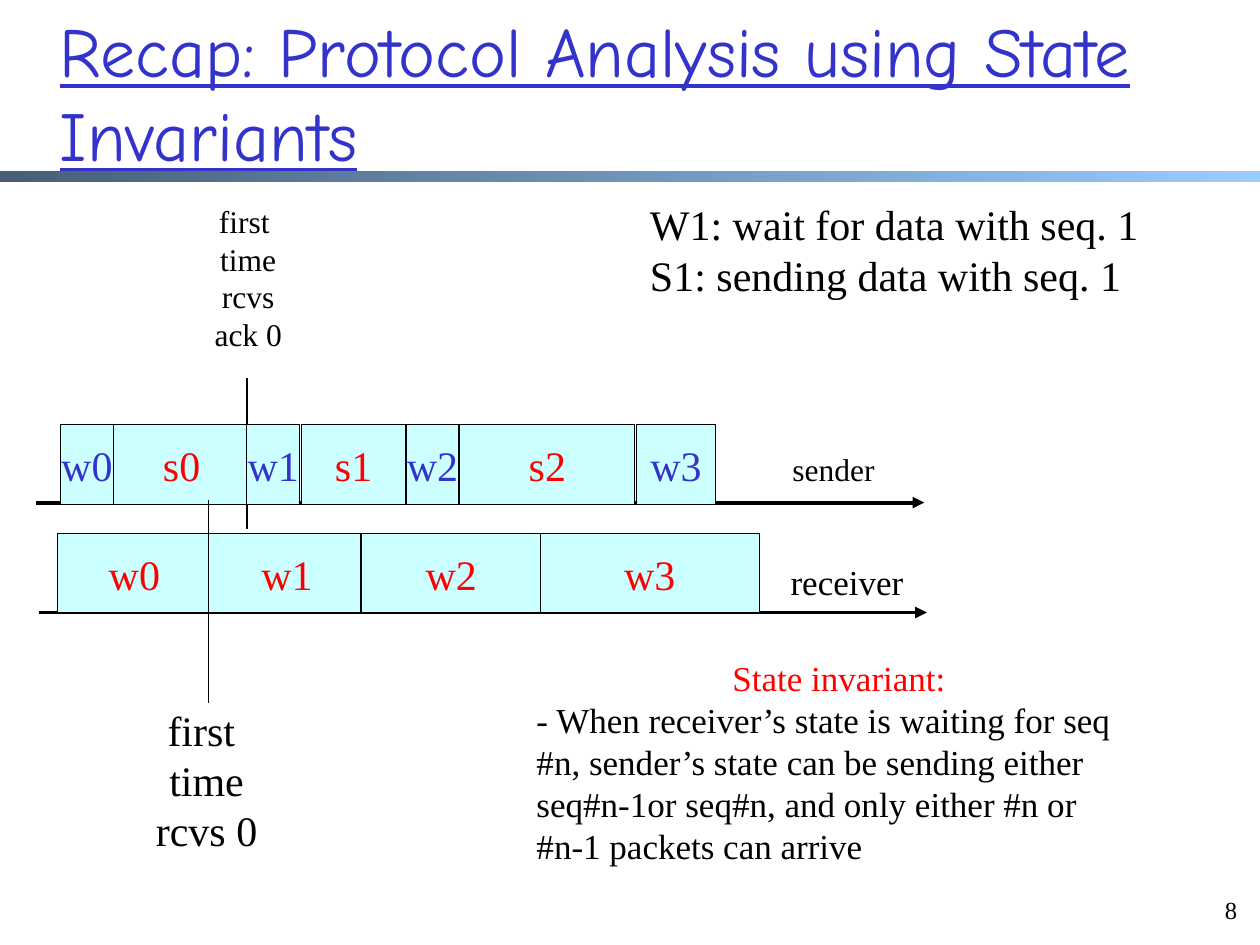
"""Build the slide on protocol analysis using state invariants."""
from dataclasses import dataclass

from pptx import Presentation
from pptx.dml.color import RGBColor
from pptx.enum.shapes import MSO_CONNECTOR as Conn, MSO_SHAPE as Shp
from pptx.enum.text import MSO_ANCHOR as Anchor, MSO_AUTO_SIZE as Auto, PP_ALIGN as Al
from pptx.oxml.ns import qn
from pptx.util import Pt
from lxml.etree import SubElement

BLACK = RGBColor(0x00, 0x00, 0x00)
RED = RGBColor(0xFF, 0x00, 0x00)
BLUE = RGBColor(0x33, 0x33, 0xCC)
CYAN = RGBColor(0xCC, 0xFF, 0xFF)
SLATE = RGBColor(0x47, 0x5E, 0x76)
SKY = RGBColor(0x99, 0xCC, 0xFF)
SERIF = "Times New Roman"
BAR_H = 45.4
SENDER_Y, RECEIVER_Y = 242.8, 305


@dataclass
class Bar:
    text: str
    x: float
    y: float
    w: float
    color: RGBColor = RED


@dataclass
class Line:
    x1: float
    y1: float
    x2: float
    y2: float
    width: float = 0.75
    arrow: bool = False


@dataclass
class Para:
    text: str
    align: Al = Al.CENTER
    color: RGBColor = BLACK


@dataclass
class Label:
    x: float
    y: float
    w: float
    h: float
    size: float
    paras: list[Para]
    wrap: bool = False


ARROWS = [Line(20.7, 287.2, 528.2, 287.2, 2.25, True),
          Line(22.1, 350, 529.7, 350, 2.25, True)]
TICKS = [Line(119, 286, 119, 401.8), Line(141.2, 216, 141.2, 302.4)]
SENDING = [Bar("s0", 64.3, SENDER_Y, 79),
           Bar("s1", 172.2, SENDER_Y, 59.8),
           Bar("s2", 262.8, SENDER_Y, 100)]
RECEIVER = [Bar("w0", 32.9, RECEIVER_Y, 87.8),
            Bar("w1", 119, RECEIVER_Y, 90),
            Bar("w2", 206.4, RECEIVER_Y, 103),
            Bar("w3", 308.7, RECEIVER_Y, 125.3)]
WAITING = [Bar("w0", 34.5, SENDER_Y, 30.3, BLUE),
           Bar("w1", 141, SENDER_Y, 30.3, BLUE),
           Bar("w2", 232, SENDER_Y, 30.3, BLUE),
           Bar("w3", 363.6, SENDER_Y, 45.4, BLUE)]
INVARIANT = ("- When receiver’s state is waiting for seq #n, sender’s state can be "
             "sending either \vseq#n-1or seq#n, and only either #n or "
             "#n-1 packets can arrive")
LABELS = [
    Label(445.7, 253.4, 61.2, 28.8, 18, [Para("sender")]),
    Label(443, 317, 82, 31, 20, [Para("receiver")]),
    Label(81.7, 398.8, 72.7, 93.6, 24, [Para(t) for t in ("first ", "time", "rcvs 0")]),
    Label(115.2, 111.8, 53.3, 93.6, 18,
          [Para(t) for t in ("first ", "time", "rcvs", "ack 0")]),
    Label(364.3, 110, 293.8, 64.8, 24,
          [Para("W1: wait for data with seq. 1", Al.LEFT),
           Para("S1: sending data with seq. 1", Al.LEFT)]),
    Label(299.5, 371.5, 360, 128.2, 20,
          [Para("State invariant:", color=RED), Para(INVARIANT, Al.LEFT)], True),
    Label(681, 507.6, 33.1, 27.4, 14, [Para("8", Al.RIGHT)], True),
]


def apply(target, formats: dict) -> None:
    for name, value in formats.items():
        setattr(target, name, value)


def write(tf, paras: list[Para], **font) -> None:
    for i, para in enumerate(paras):
        p = tf.add_paragraph() if i else tf.paragraphs[0]
        p.text = para.text
        p.alignment = para.align
        for r in p.runs:
            apply(r.font, font)
            r.font.color.rgb = para.color


def add_title(s, text: str) -> None:
    sp = s.shapes.title
    apply(sp, dict(left=Pt(27), top=Pt(7.2), width=Pt(631.4), height=Pt(90)))
    tf = sp.text_frame
    apply(tf, dict(word_wrap=True, auto_size=Auto.NONE, vertical_anchor=Anchor.MIDDLE))
    write(tf, [Para(text, Al.LEFT, BLUE)], name="Comic Neue", size=Pt(40), underline=True)


def add_rule(s) -> None:
    sp = s.shapes.add_shape(Shp.RECTANGLE, 0, Pt(98), Pt(720), Pt(6))
    sp.shadow.inherit = False
    sp.line.fill.background()
    sp.fill.gradient()
    sp.fill.gradient_angle = 0
    for stop, position, color in zip(sp.fill.gradient_stops, (0, 1), (SLATE, SKY)):
        stop.position = position
        stop.color.rgb = color


def add_bar(s, bar: Bar) -> None:
    sp = s.shapes.add_shape(Shp.RECTANGLE, Pt(bar.x), Pt(bar.y), Pt(bar.w), Pt(BAR_H))
    sp.shadow.inherit = False
    sp.fill.solid()
    sp.fill.fore_color.rgb = CYAN
    sp.line.color.rgb = BLACK
    sp.line.width = Pt(0.75)
    apply(sp.text_frame, dict(word_wrap=False, vertical_anchor=Anchor.MIDDLE))
    write(sp.text_frame, [Para(bar.text, color=bar.color)], name=SERIF, size=Pt(24))


def add_line(s, line: Line) -> None:
    cx = s.shapes.add_connector(Conn.STRAIGHT, Pt(line.x1), Pt(line.y1),
                                Pt(line.x2), Pt(line.y2))
    cx.line.color.rgb = BLACK
    cx.line.width = Pt(line.width)
    if line.arrow:
        SubElement(cx.line._get_or_add_ln(), qn("a:tailEnd"), type="triangle")
    SubElement(cx._element.spPr, qn("a:effectLst"))


def add_label(s, label: Label) -> None:
    sp = s.shapes.add_textbox(Pt(label.x), Pt(label.y), Pt(label.w), Pt(label.h))
    fit = Auto.NONE if label.wrap else Auto.SHAPE_TO_FIT_TEXT
    apply(sp.text_frame, dict(word_wrap=label.wrap, auto_size=fit))
    write(sp.text_frame, label.paras, name=SERIF, size=Pt(label.size))


def main() -> None:
    prs = Presentation()
    apply(prs, dict(slide_width=Pt(720), slide_height=Pt(540)))
    s = prs.slides.add_slide(prs.slide_layouts[5])
    add_rule(s)
    add_title(s, "Recap: Protocol Analysis using State Invariants")
    for draw, items in ((add_line, ARROWS), (add_bar, SENDING + RECEIVER),
                        (add_line, TICKS), (add_bar, WAITING), (add_label, LABELS)):
        for item in items:
            draw(s, item)
    prs.save("out.pptx")


if __name__ == "__main__":
    main()
